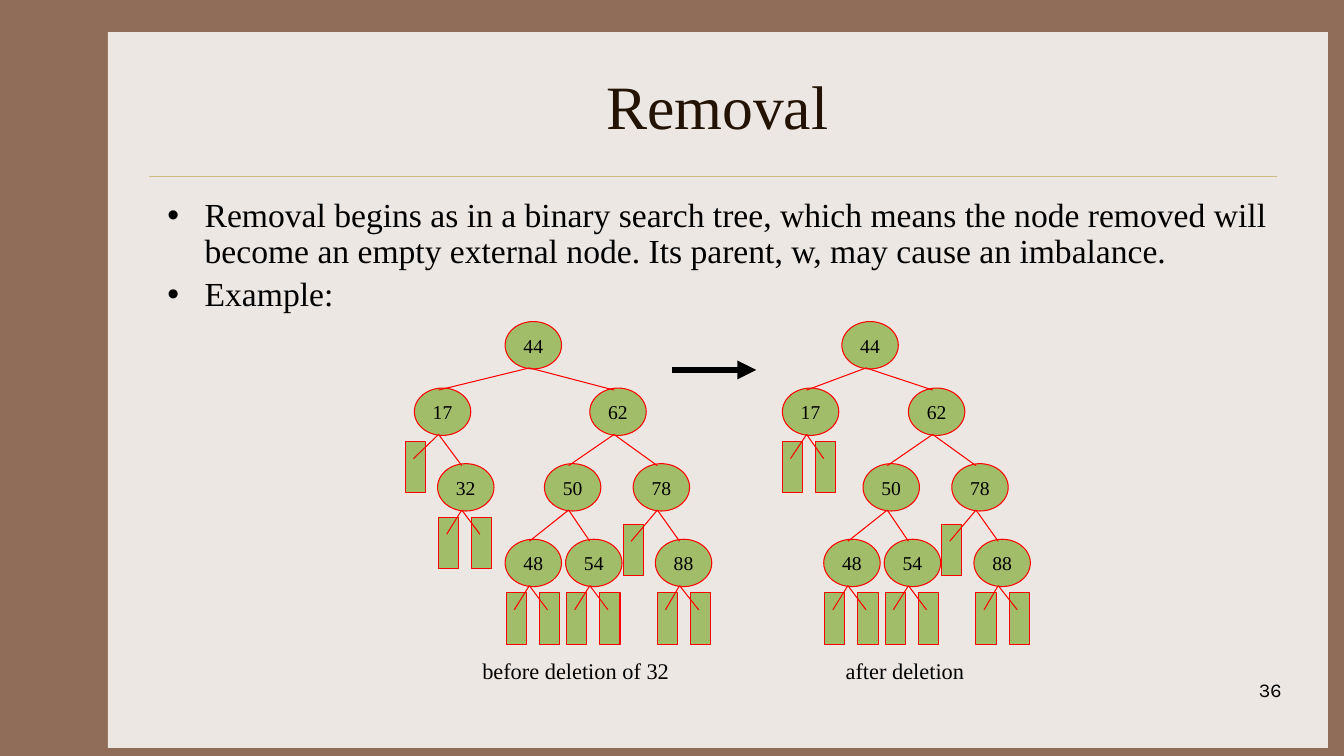
from pptx import Presentation
from pptx.util import Inches, Pt
from pptx.dml.color import RGBColor
from pptx.enum.shapes import MSO_SHAPE, MSO_CONNECTOR
from pptx.enum.text import PP_ALIGN, MSO_ANCHOR, MSO_AUTO_SIZE
from pptx.oxml.ns import qn
from lxml import etree

RECT, OVAL = MSO_SHAPE.RECTANGLE, MSO_SHAPE.OVAL
LINE = MSO_CONNECTOR.STRAIGHT
LEFT, MID, RIGHT = PP_ALIGN.LEFT, PP_ALIGN.CENTER, PP_ALIGN.RIGHT
TOP, CENTRE = MSO_ANCHOR.TOP, MSO_ANCHOR.MIDDLE
FIXED = MSO_AUTO_SIZE.NONE

BROWN = RGBColor(0x90, 0x6D, 0x58)
CREAM = RGBColor(0xED, 0xE7, 0xE3)
GOLD = RGBColor(0xCB, 0xBD, 0x83)
DARK = RGBColor(0x22, 0x13, 0x04)
BLACK = RGBColor(0, 0, 0)
GREEN = RGBColor(0xA1, 0xBD, 0x69)
RED = RGBColor(0xFF, 0, 0)
SERIF, SANS = "Times New Roman", "Karla"
CELL = Inches(0.01)

deck = Presentation()
deck.slide_width, deck.slide_height = 1333 * CELL, 750 * CELL
slide = deck.slides.add_slide(deck.slide_layouts[1])
slide.background.fill.solid()
slide.background.fill.fore_color.rgb = BROWN
shapes = slide.shapes


def write(shape, text, size, font=SERIF, color=BLACK, align=MID, anchor=CENTRE, wrap=True):
    frame = shape.text_frame
    frame.text = text
    frame.word_wrap = wrap
    frame.auto_size = FIXED
    frame.vertical_anchor = anchor
    for para in frame.paragraphs:
        para.alignment = align
        for run in para.runs:
            run.font.size = Pt(size)
            run.font.name = font
            run.font.color.rgb = color


def draw(kind, spot, fill, color, width):
    spot = [n * CELL for n in spot]
    if kind is LINE:
        item = shapes.add_connector(kind, *spot)
        etree.SubElement(item.element.spPr, qn("a:effectLst"))
    else:
        item = shapes.add_shape(kind, *spot)
        item.shadow.inherit = False
        item.fill.solid()
        item.fill.fore_color.rgb = fill
    if color is None:
        item.line.fill.background()
    else:
        item.line.color.rgb = color
        item.line.width = Pt(width)
    return item


title, body = shapes.title, slide.placeholders[1]
panel = draw(RECT, (107, 32, 1210, 710), CREAM, None, 0)
rule = draw(LINE, (148, 175, 1267, 175), None, GOLD, 0.25)
tree = title.element.getparent()
tree.insert(2, panel.element)
tree.insert(3, rule.element)

for item, top, high in ((title, 42, 125), (body, 192, 450)):
    item.left, item.top = 156 * CELL, top * CELL
    item.width, item.height = 1111 * CELL, high * CELL

write(title, "Removal", 44, color=DARK)
write(body, "Removal begins as in a binary search tree, which means the node removed will "
      "become an empty external node. Its parent, w, may cause an imbalance.\nExample:",
      24, align=LEFT, anchor=TOP)
body.text_frame.margin_right = 0
for para in body.text_frame.paragraphs:
    para.line_spacing = 0.9
    para.space_before = Pt(4.8)
    props = para._p.get_or_add_pPr()
    props.set("marL", str(37 * CELL))
    props.set("indent", str(-37 * CELL))
    etree.SubElement(props, qn("a:buChar")).set("char", "•")

ROWS = (319, 385, 460, 535)
NODE_W, NODE_H, LEAF_W, LEAF_H = 56, 47, 20, 51
BRANCH = (("62", 0, 1, "44"), ("50", -45, 2, "62"), ("78", 43, 2, "62"),
          ("48", -84, 3, "50"), ("54", -24, 3, "50"), ("88", 65, 3, "78"))
TIPS = (("48", -83), ("48", -50), ("54", -23), ("54", 10),
        ("78", 33), ("88", 67), ("88", 100))
TREES = (
    (585, (("44", 501, 0, None), ("17", 411, 1, "44"), ("32", 434, 2, "17")),
     (("17", 402), ("32", 435), ("32", 468))),
    (901, (("44", 835, 0, None), ("17", 776, 1, "44")),
     (("17", 776), ("17", 809))),
)

for base, nodes, tips in TREES:
    nodes += tuple((key, base + x, row, up) for key, x, row, up in BRANCH)
    tips += tuple((up, base + x) for up, x in TIPS)
    spots, edges = {}, []
    for key, x, row, up in nodes:
        y = ROWS[row]
        spots[key] = x, y
        oval = draw(OVAL, (x, y, NODE_W, NODE_H), GREEN, RED, 0.75)
        write(oval, key, 14, wrap=False)
        if up:
            edges.append((up, x + 24, y + 2))
    for up, x in tips:
        y = spots[up][1] + (60 if up == "78" else 53)
        draw(RECT, (x, y, LEAF_W, LEAF_H), GREEN, RED, 0.75)
        edges.append((up, x + 8, y + 17))
    for up, x, y in edges:
        left, top = spots[up]
        draw(LINE, (left + 24, top + 46, x, y), None, RED, 0.75)

arrow = draw(LINE, (667, 367, 750, 367), None, BLACK, 4.5)
etree.SubElement(arrow.line._get_or_add_ln(), qn("a:tailEnd")).set("type", "triangle")

NOTES = (
    ("before deletion of 32", (468, 647, 206, 37), 16, SERIF, MID),
    ("after deletion", (828, 647, 139, 37), 16, SERIF, MID),
    ("36", (1003, 668, 278, 50), 14, SANS, RIGHT),
)
for text, spot, size, font, align in NOTES:
    note = shapes.add_textbox(*[n * CELL for n in spot])
    write(note, text, size, font, align=align, anchor=TOP, wrap=align == RIGHT)

deck.save("out.pptx")
